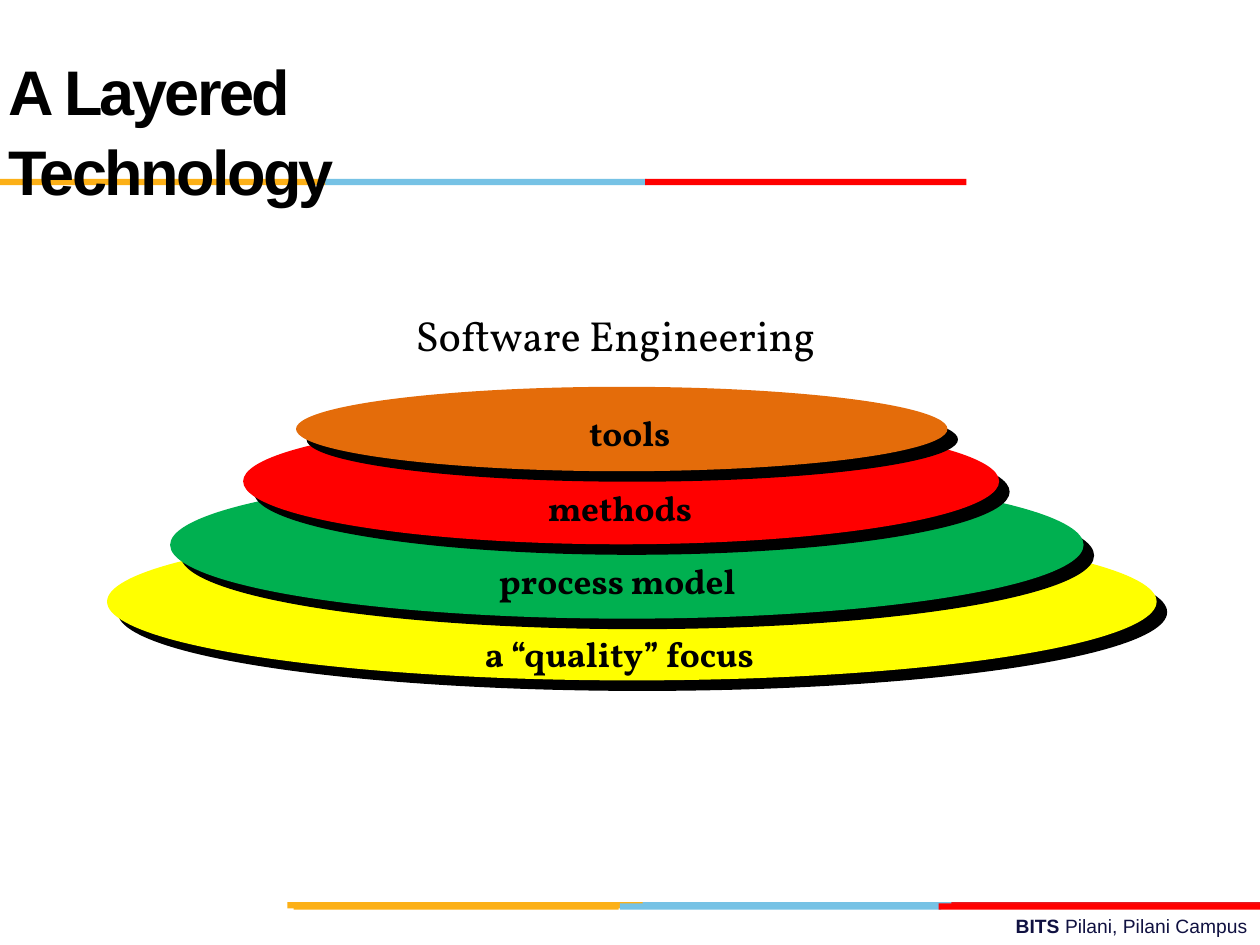
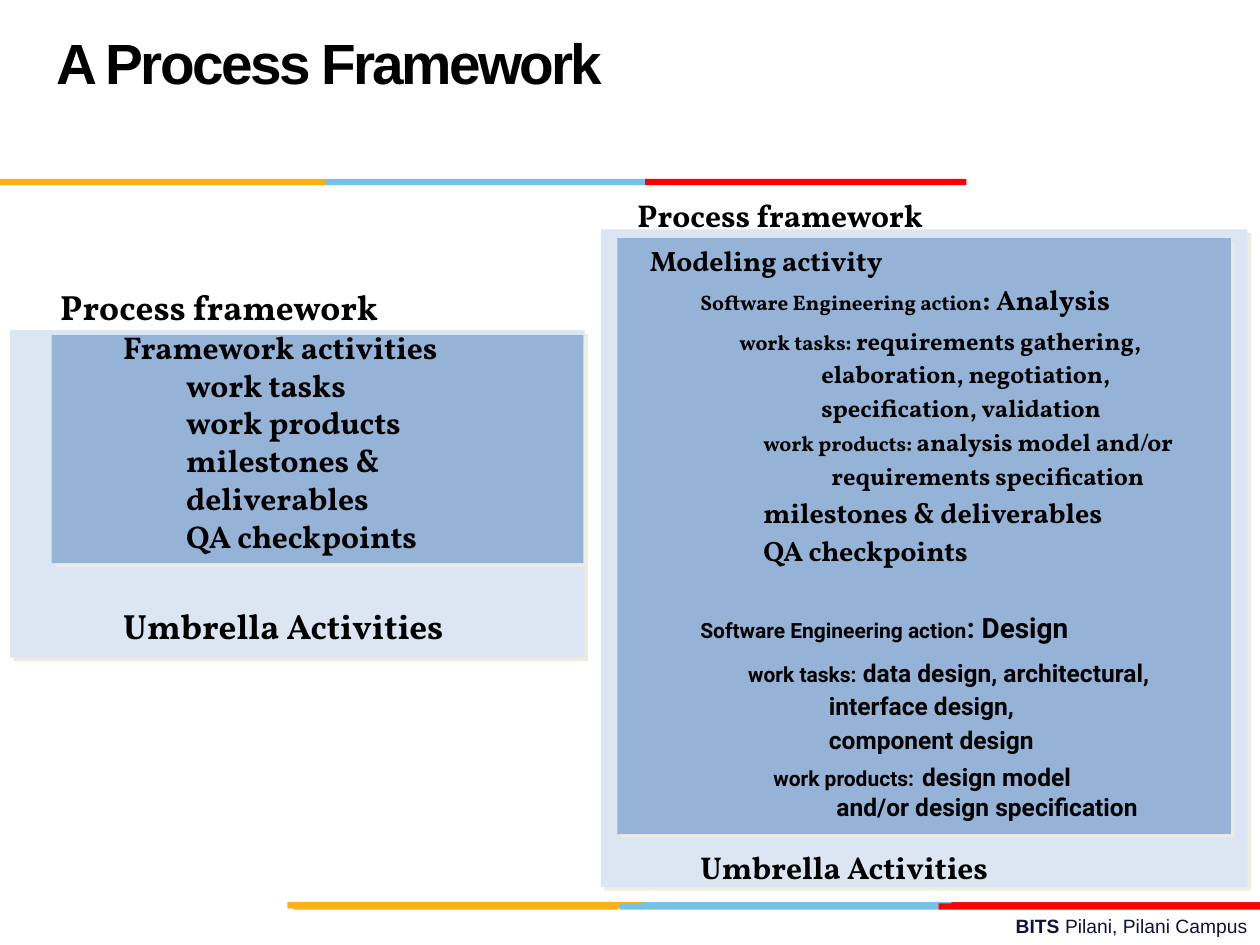
from pptx import Presentation
from pptx.dml.color import RGBColor
from pptx.enum.shapes import MSO_SHAPE as Shape
from pptx.enum.text import MSO_ANCHOR as Anchor, MSO_AUTO_SIZE as AutoSize, PP_ALIGN as Align
from pptx.oxml import parse_xml
from pptx.oxml.ns import nsdecls
from pptx.util import Inches, Pt

# Colours and fonts
BLACK = RGBColor(0x00, 0x00, 0x00)
NAVY = RGBColor(0x10, 0x11, 0x41)
SKY = RGBColor(0x76, 0xC2, 0xE5)
AMBER = RGBColor(0xFC, 0xB0, 0x17)
RED = RGBColor(0xFF, 0x00, 0x00)
CRIMSON = RGBColor(0xE3, 0x1C, 0x24)
YELLOW = RGBColor(0xFF, 0xFF, 0x00)
GREEN = RGBColor(0x00, 0xB0, 0x50)
ORANGE = RGBColor(0xE4, 0x6C, 0x0A)
PALE_BLUE = RGBColor(0xDC, 0xE6, 0xF2)
MID_BLUE = RGBColor(0x95, 0xB3, 0xD7)
CREAM = RGBColor(0xEE, 0xEC, 0xE1)
SANS, SERIF, ROBOTO = "Arial", "Vollkorn", "Roboto"
TEXT_INSETS = (0.1, 0.05)

# Shared bands: left, top, width, colour
BAND_HEIGHT = 0.05
BANDS = [
    (5.06, 7.16, 2.55, SKY), (7.55, 7.16, 2.45, CRIMSON), (2.28, 7.16, 2.82, AMBER),
    (4.92, 7.17, 2.55, SKY), (2.33, 7.17, 2.58, AMBER), (7.45, 7.17, 2.55, RED),
    (2.58, 1.42, 2.55, SKY), (0, 1.42, 2.58, AMBER), (5.12, 1.42, 2.55, RED),
]
FOOTER = [("BITS ", True), ("Pilani, Pilani Campus", False)]

# Layers, bottom to top: ellipse place, colour, label, label place
LAYERS = [
    ((0.85, 4.15, 8.33, 1.25), YELLOW, "a “quality” focus", (3.75, 4.97, 2.44, 0.43)),
    ((1.35, 3.74, 7.25, 1.17), GREEN, "process model", (3.86, 4.39, 2.18, 0.43)),
    ((1.93, 3.32, 6, 1), RED, "methods", (4.25, 3.81, 1.37, 0.43)),
    ((2.35, 3.07, 5.17, 0.67), ORANGE, "tools", (4.58, 3.22, 0.9, 0.43)),
]

# Framework panels: place, colour
LEFT_PANELS = [((0.08, 2.62, 4.56, 2.6), PALE_BLUE), ((0.41, 2.66, 4.22, 1.81), MID_BLUE)]
RIGHT_PANELS = [((4.77, 1.82, 5.13, 5.22), PALE_BLUE), ((4.9, 1.89, 4.87, 4.73), MID_BLUE)]

# Outlines: indent, space before, line spacing, font, (text, size) spans
OUTLINE = [
    (0, 0, 1.15, SERIF, [("Process framework", 20)]),
    (0.5, 0, 1, SERIF, [("Framework activities", 18)]),
    (1, 0, 1, SERIF, [("work tasks", 18)]),
    (1, 0, 1, SERIF, [("work products", 18)]),
    (1, 0, 1, SERIF, [("milestones & deliverables", 18)]),
    (1, 0, 1, SERIF, [("QA checkpoints", 18)]),
    (0.5, 25, 1.15, SERIF, [("Umbrella Activities", 20)]),
]
EXAMPLE = [
    (0, 0, 1.15, SERIF, [("Process framework", 18)]),
    (0.1, 3, 1.15, SERIF, [("Modeling activity", 16)]),
    (0.5, 0, 1.15, SERIF, [("Software Engineering action", 12), (": Analysis", 16)]),
    (0.81, 3, 1.15, SERIF, [("work tasks: ", 12), ("requirements gathering,", 14)]),
    (1.46, 0, 1.15, SERIF, [("elaboration, negotiation,", 14)]),
    (1.46, 0, 1.15, SERIF, [("specification, validation", 14)]),
    (1, 0, 1.15, SERIF, [("work products: ", 12), ("analysis model and/or", 14)]),
    (1.54, 0, 1.15, SERIF, [("requirements specification", 14)]),
    (1, 0, 1.15, SERIF, [("milestones & deliverables", 16)]),
    (1, 0, 1.15, SERIF, [("QA checkpoints", 16)]),
    (0.5, 22, 1.15, ROBOTO, [("Software Engineering action", 12), (": Design", 16)]),
    (0.88, 5, 1.15, ROBOTO, [("work tasks:", 12), (" data design, architectural,", 14)]),
    (1.52, 0, 1.15, ROBOTO, [("interface design,", 14)]),
    (1.52, 0, 1.15, ROBOTO, [("component design", 14)]),
    (1.08, 0, 1, ROBOTO, [("work products:", 12), (" ", 18), ("design model", 14)]),
    (1.58, 0, 1, ROBOTO, [("and/or design specification", 14)]),
    (0.5, 12, 1.15, SERIF, [("Umbrella Activities", 18)]),
]


def add_filled(page, kind, place, colour):
    shape = page.shapes.add_shape(kind, *map(Inches, place))
    shape.shadow.inherit = False
    shape.fill.solid()
    shape.fill.fore_color.rgb = colour
    shape.line.fill.background()
    return shape


def add_shadow(shape, colour, distance):
    """Give the shape a hard shadow down to the right."""
    effects = shape.shadow._element.find(".//{*}effectLst")
    effects.append(parse_xml(
        f'<a:outerShdw {nsdecls("a")} blurRad="0" dist="{Pt(distance)}" dir="2700000" '
        f'algn="ctr" rotWithShape="0"><a:srgbClr val="{colour}"/></a:outerShdw>'))


def add_box(page, place, insets=TEXT_INSETS, wrap=True):
    box = page.shapes.add_textbox(*map(Inches, place))
    frame = box.text_frame
    frame.word_wrap = wrap
    frame.auto_size = AutoSize.NONE if wrap else AutoSize.SHAPE_TO_FIT_TEXT
    frame.margin_left = frame.margin_right = Inches(insets[0])
    frame.margin_top = frame.margin_bottom = Inches(insets[1])
    return frame


def style(span, font, size, colour=BLACK, bold=True):
    span.font.name = font
    span.font.size = Pt(size)
    span.font.bold = bold
    span.font.color.rgb = colour


def add_label(page, place, text, size, bold):
    frame = add_box(page, place, wrap=False)
    frame.text = text
    style(frame.paragraphs[0].runs[0], SERIF, size, bold=bold)


def add_title(page, text, place, size, insets=TEXT_INSETS, anchor=Anchor.TOP, spacing=1):
    frame = add_box(page, place, insets)
    frame.vertical_anchor = anchor
    frame.text = text
    para = frame.paragraphs[0]
    para.line_spacing = spacing
    span = para.runs[0]
    style(span, SANS, size)
    span._r.get_or_add_rPr().set("spc", "-150")


def add_outline(page, place, lines):
    frame = add_box(page, place)
    for number, (indent, before, spacing, font, spans) in enumerate(lines):
        para = frame.add_paragraph() if number else frame.paragraphs[0]
        para._p.get_or_add_pPr().set("marL", str(Inches(indent)))
        para.space_before = Pt(before)
        para.line_spacing = spacing
        for text, size in spans:
            span = para.add_run()
            span.text = text
            style(span, font, size)


def add_panels(page, panels):
    for place, colour in panels:
        add_shadow(add_filled(page, Shape.RECTANGLE, place, colour), CREAM, 2.8)


def new_page(deck):
    """Add a blank page with the footer and the coloured bands."""
    page = deck.slides.add_slide(deck.slide_layouts[6])
    para = add_box(page, (3.58, 7.21, 6.42, 0.29)).paragraphs[0]
    para.alignment = Align.RIGHT
    for text, bold in FOOTER:
        span = para.add_run()
        span.text = text
        style(span, SANS, 11, NAVY, bold)
    for left, top, width, colour in BANDS:
        add_filled(page, Shape.RECTANGLE, (left, top, width, BAND_HEIGHT), colour)
    return page


def build_layers(deck):
    page = new_page(deck)
    add_title(page, "A Layered Technology", (0, 0.36, 4.68, 0.66), 36, (0.07, 0.03), spacing=1.05)
    add_label(page, (3.2, 2.41, 3.67, 0.46), "Software Engineering", 24, False)
    for place, colour, _, _ in LAYERS:
        add_shadow(add_filled(page, Shape.OVAL, place, colour), BLACK, 8.5)
    for _, _, text, place in LAYERS:
        add_label(page, place, text, 20, True)


def build_framework(deck):
    page = new_page(deck)
    add_panels(page, LEFT_PANELS)
    add_title(page, "A Process Framework", (0.35, 0.16, 4.86, 0.66), 32.4, anchor=Anchor.MIDDLE)
    add_outline(page, (0.38, 2.17, 4.07, 3.04), OUTLINE)
    add_panels(page, RIGHT_PANELS)
    add_outline(page, (4.96, 1.46, 4.49, 5.75), EXAMPLE)


def main():
    deck = Presentation()
    deck.slide_width, deck.slide_height = Inches(10), Inches(7.5)
    build_layers(deck)
    build_framework(deck)
    deck.save("out.pptx")


if __name__ == "__main__":
    main()
